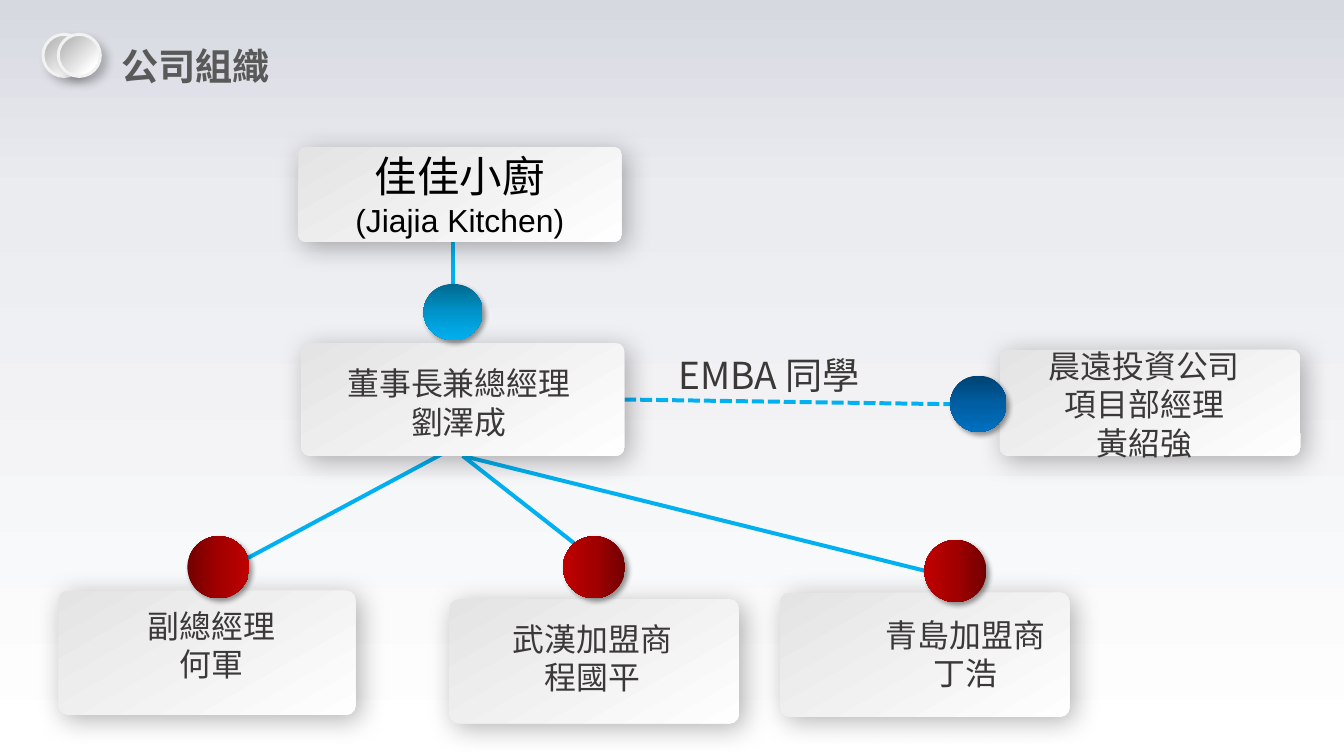
from lxml import etree
from pptx import Presentation
from pptx import util as u
from pptx.dml.color import RGBColor
from pptx.enum import dml, shapes, text
from pptx.oxml.ns import qn

PX = 9144
CJK = "Noto Sans CJK SC"
color = RGBColor.from_string


def paint(fill, element, stops, angle):
    fill.gradient()
    fill.gradient_angle = (360 - angle) % 360
    stop_list = element.find(".//" + qn("a:gsLst"))
    for old in list(stop_list):
        stop_list.remove(old)
    for position, value in stops:
        stop = etree.SubElement(stop_list, qn("a:gs"), pos=str(position * 1000))
        etree.SubElement(stop, qn("a:srgbClr"), val=value)


def write(frame, lines, face, ink, align, anchor, bold=False):
    frame.word_wrap = True
    frame.auto_size = text.MSO_AUTO_SIZE.NONE
    frame.vertical_anchor = anchor
    for index, (words, size) in enumerate(lines):
        para = frame.add_paragraph() if index else frame.paragraphs[0]
        para.alignment = align
        span = para.add_run()
        span.text = words
        span.font.size = u.Pt(size)
        span.font.name = face
        span.font.bold = bold
        span.font.color.rgb = color(ink)
        etree.SubElement(span._r.rPr, qn("a:ea"), typeface=CJK)


deck = Presentation()
deck.slide_width = 1406 * PX
deck.slide_height = 791 * PX
page = deck.slides.add_slide(deck.slide_layouts[5])
paint(page.background.fill, page._element,
      [(0, "D7D9E1"), (26, "EBECF0"), (100, "FFFFFF")], 90)

LEFT, CENTER = text.PP_ALIGN.LEFT, text.PP_ALIGN.CENTER
TOP, MIDDLE = text.MSO_ANCHOR.TOP, text.MSO_ANCHOR.MIDDLE

title = page.shapes.title
title.left, title.top, title.width, title.height = [v * PX for v in (117, 40, 177, 57)]
write(title.text_frame, [("公司組織", 28)], "Calibri", "595959", LEFT, TOP, True)
title.text_frame.word_wrap = False

links = {
    "owner": (474, 232, 474, 319),
    "deputy": (470, 471, 216, 607),
    "wuhan": (484, 477, 613, 578),
    "qingdao": (484, 477, 1007, 607),
    "classmate": (653, 418, 1000, 423),
}
connectors = {}
for name, ends in links.items():
    connector = page.shapes.add_connector(
        shapes.MSO_CONNECTOR.STRAIGHT, *[v * PX for v in ends])
    connector.line.color.rgb = color("00B0F0")
    connector.line.width = u.Pt(3)
    etree.SubElement(connector._element.spPr, qn("a:effectLst"))
    connectors[name] = connector
connectors["classmate"].line.dash_style = dml.MSO_LINE.SQUARE_DOT

ROUND, OVAL = shapes.MSO_SHAPE.ROUNDED_RECTANGLE, shapes.MSO_SHAPE.OVAL
silver = [(20, "BFBFBF"), (80, "FFFFFF"), (100, "FFFFFF")]
pale = [(0, "E4E4E4"), (100, "FEFEFE")]
sky = [(0, "00688E"), (50, "0094CA"), (100, "00B0F0")]
navy = [(0, "004272"), (50, "005EA2"), (100, "0070C0")]
red = [(0, "720000"), (50, "A20000"), (100, "C00000")]

ring_style = (OVAL, 45, (23, 7, 5.9))
card_style = (ROUND, 60, (30, 20, 5))
dot_shadow = (40, 4, 3)
pieces = {
    "ring back": ((45, 36, 44, 44), silver, *ring_style),
    "ring front": ((61, 36, 44, 44), silver, *ring_style),
    "company card": ((312, 154, 338, 99), pale, *card_style),
    "manager card": ((315, 359, 338, 118), pale, *card_style),
    "investor card": ((1046, 366, 314, 111), pale, *card_style),
    "deputy card": ((61, 618, 311, 130), pale, *card_style),
    "wuhan card": ((470, 627, 303, 130), pale, *card_style),
    "qingdao card": ((816, 620, 303, 130), pale, *card_style),
    "manager dot": ((443, 297, 62, 59), sky, OVAL, 90, dot_shadow),
    "investor dot": ((994, 393, 59, 59), navy, OVAL, 90, dot_shadow),
    "deputy dot": ((196, 561, 65, 65), red, OVAL, 0, dot_shadow),
    "wuhan dot": ((589, 561, 65, 65), red, OVAL, 180, dot_shadow),
    "qingdao dot": ((967, 565, 65, 65), red, OVAL, 180, dot_shadow),
}
drawn = {}
for name, (place, stops, kind, angle, (alpha, blur, distance)) in pieces.items():
    piece = page.shapes.add_shape(kind, *[v * PX for v in place])
    paint(piece.fill, piece._element, stops, angle)
    if kind == ROUND:
        piece.adjustments[0] = 0.076
    if stops is silver:
        piece.line.color.rgb = color("F2F2F2")
        piece.line.width = u.Pt(2.25)
    else:
        piece.line.fill.background()
    piece.shadow.inherit = False
    effects = piece._element.spPr.find(qn("a:effectLst"))
    shadow = etree.SubElement(
        effects, qn("a:outerShdw"), blurRad=str(u.Pt(blur)), dist=str(u.Pt(distance)),
        dir=str(45 * 60000), algn="tl", rotWithShape="0")
    tone = etree.SubElement(shadow, qn("a:srgbClr"), val="000000")
    etree.SubElement(tone, qn("a:alpha"), val=str(alpha * 1000))
    drawn[name] = piece

connectors["classmate"].begin_connect(drawn["manager card"], 3)
write(drawn["company card"].text_frame, [("佳佳小廚", 32), ("(Jiajia Kitchen)", 24)],
      "Arial", "000000", CENTER, MIDDLE)

labels = [
    ((346, 376, 268, 91), ["董事長兼總經理", "劉澤成"], 24, CENTER),
    ((1011, 358, 372, 131), ["晨遠投資公司", "項目部經理", "黃紹強"], 24, CENTER),
    ((113, 630, 216, 91), ["副總經理", "何軍"], 24, CENTER),
    ((512, 643, 216, 91), ["武漢加盟商", "程國平"], 24, CENTER),
    ((902, 639, 216, 91), ["青島加盟商", "丁浩"], 24, CENTER),
    ((700, 364, 231, 57), ["EMBA 同學"], 28, LEFT),
]
for place, lines, size, align in labels:
    box = page.shapes.add_textbox(*[v * PX for v in place])
    write(box.text_frame, [(words, size) for words in lines], CJK, "3B3838", align, TOP)

deck.save("out.pptx")
